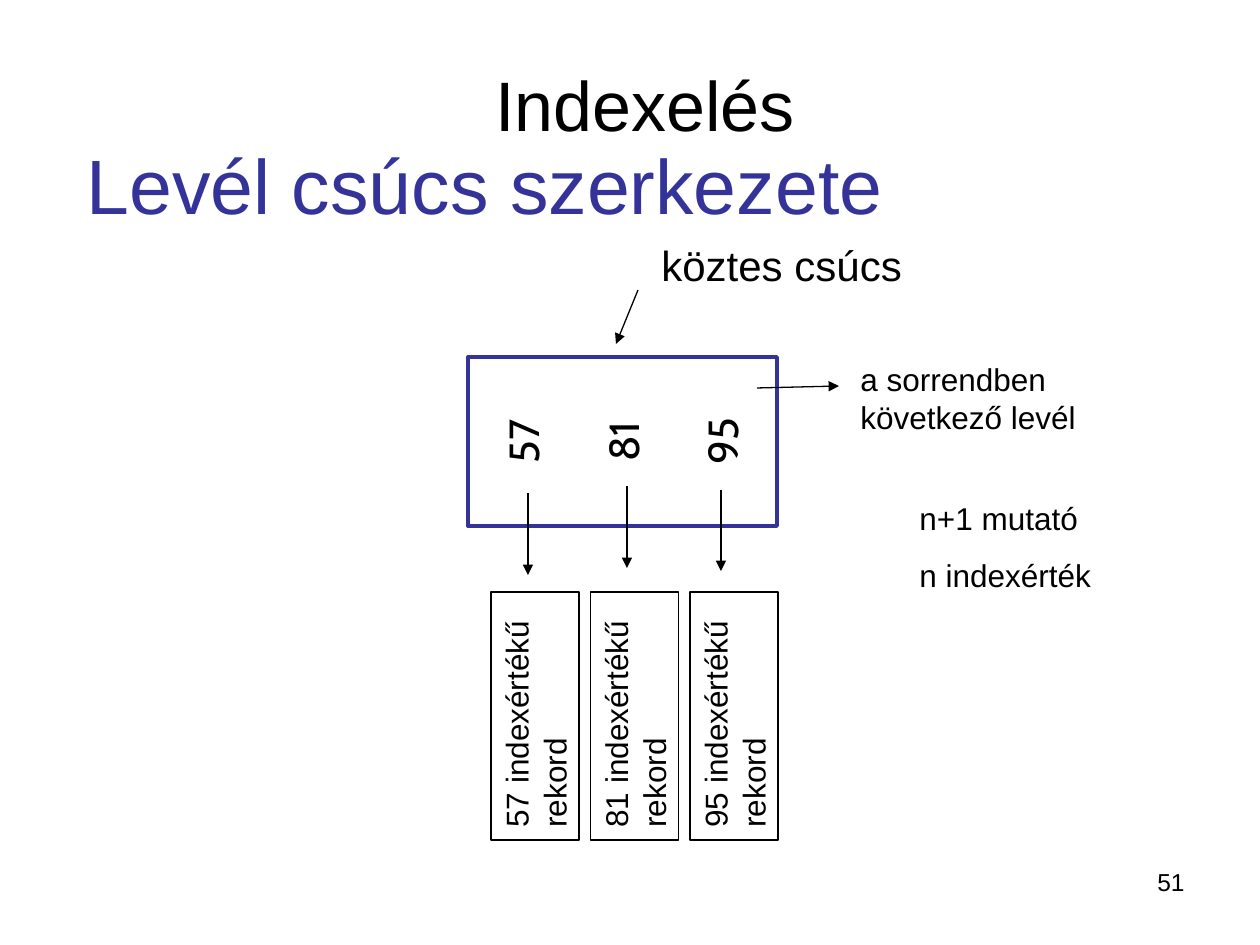
from pptx import Presentation
from pptx.dml.color import RGBColor
from pptx.enum.shapes import MSO_CONNECTOR, MSO_SHAPE
from pptx.enum.text import MSO_ANCHOR, MSO_AUTO_SIZE, PP_ALIGN
from pptx.oxml.ns import qn
from pptx.util import Emu, Pt
from lxml import etree

PX = 914400 / 126
TOP, MIDDLE = MSO_ANCHOR.TOP, MSO_ANCHOR.MIDDLE
LEFT, CENTER, RIGHT = PP_ALIGN.LEFT, PP_ALIGN.CENTER, PP_ALIGN.RIGHT
RECTANGLE, STRAIGHT = MSO_SHAPE.RECTANGLE, MSO_CONNECTOR.STRAIGHT
BLACK, BLUE, WHITE = "000000", "333399", "FFFFFF"
KEYS = ["57", "81", "95"]


def px(*lengths):
    """Turn pixel lengths into EMU."""
    return [Emu(round(length * PX)) for length in lengths]


def write(shape, lines, size, color=BLACK, font="Arial", align=LEFT,
          anchor=TOP, gap=0, wrap=True):
    """Fill a shape with one paragraph per line, gap points apart."""
    frame = shape.text_frame
    settings = {"word_wrap": wrap, "auto_size": MSO_AUTO_SIZE.NONE,
                "vertical_anchor": anchor}
    for name, value in settings.items():
        setattr(frame, name, value)
    for index, line in enumerate(lines):
        para = frame.add_paragraph() if index else frame.paragraphs[0]
        para.text = line
        para.alignment = align
        para.space_before = Pt(gap if index else 0)
        for name, value in {"size": Pt(size), "name": font}.items():
            setattr(para.font, name, value)
        para.font.color.rgb = RGBColor.from_string(color)


deck = Presentation()
deck.slide_width, deck.slide_height = px(1260, 945)
page = deck.slides.add_slide(deck.slide_layouts[5])
shapes = page.shapes

# Title
title = shapes.title
title.left, title.top, title.width, title.height = px(74, 106, 1133, 156)
write(title, ["Levél csúcs szerkezete"], 44, BLUE, anchor=MIDDLE)

# Leaf node with its keys, turned to read upwards
node = shapes.add_shape(RECTANGLE, *px(538, 287, 169, 309))
node.fill.solid()
node.fill.fore_color.rgb = RGBColor.from_string(WHITE)
node.line.color.rgb = RGBColor.from_string(BLUE)
node.line.width = Pt(2.25)
write(node, KEYS, 24, font="Cabin", align=CENTER, anchor=MIDDLE, gap=28,
      wrap=False)

# One record for each key
records = []
for index, key in enumerate(KEYS):
    record = shapes.add_shape(RECTANGLE, *px(411 + index * 99.5, 672, 248, 88))
    record.fill.background()
    record.line.color.rgb = RGBColor.from_string(BLACK)
    record.line.width = Pt(0.75)
    write(record, [f"{key} indexértékű rekord"], 18)
    records.append(record)

for box in [node, *records]:
    box.rotation = 270
    box.shadow.inherit = False

# Arrows: to the node, to the next leaf, to the records
arrows = [
    (638, 290, 616, 344),
    (757, 388, 839, 386),
    (528, 493, 528, 575),
    (627, 486, 627, 568),
    (721, 490, 721, 571),
]
for ends in arrows:
    arrow = shapes.add_connector(STRAIGHT, *px(*ends))
    arrow.line.color.rgb = RGBColor.from_string(BLACK)
    arrow.line.width = Pt(0.75)
    head = etree.SubElement(arrow.line._get_or_add_ln(), qn("a:tailEnd"))
    head.set("type", "triangle")
    etree.SubElement(arrow._element.spPr, qn("a:effectLst"))

# Labels: place, lines, size, alignment, gap
labels = [
    ((471, 55, 348, 97), ["Indexelés"], 40, CENTER, 0),
    ((649, 233, 340, 60), ["köztes csúcs"], 24, LEFT, 0),
    ((848, 354, 318, 146), ["a sorrendben következő levél"], 18, LEFT, 0),
    ((907, 493, 248, 108), ["n+1 mutató", "n indexérték"], 18, LEFT, 11),
    ((903, 861, 294, 66), ["51"], 14, RIGHT, 0),
]
for place, lines, size, align, gap in labels:
    label = shapes.add_textbox(*px(*place))
    write(label, lines, size, align=align, gap=gap)

deck.save("out.pptx")
